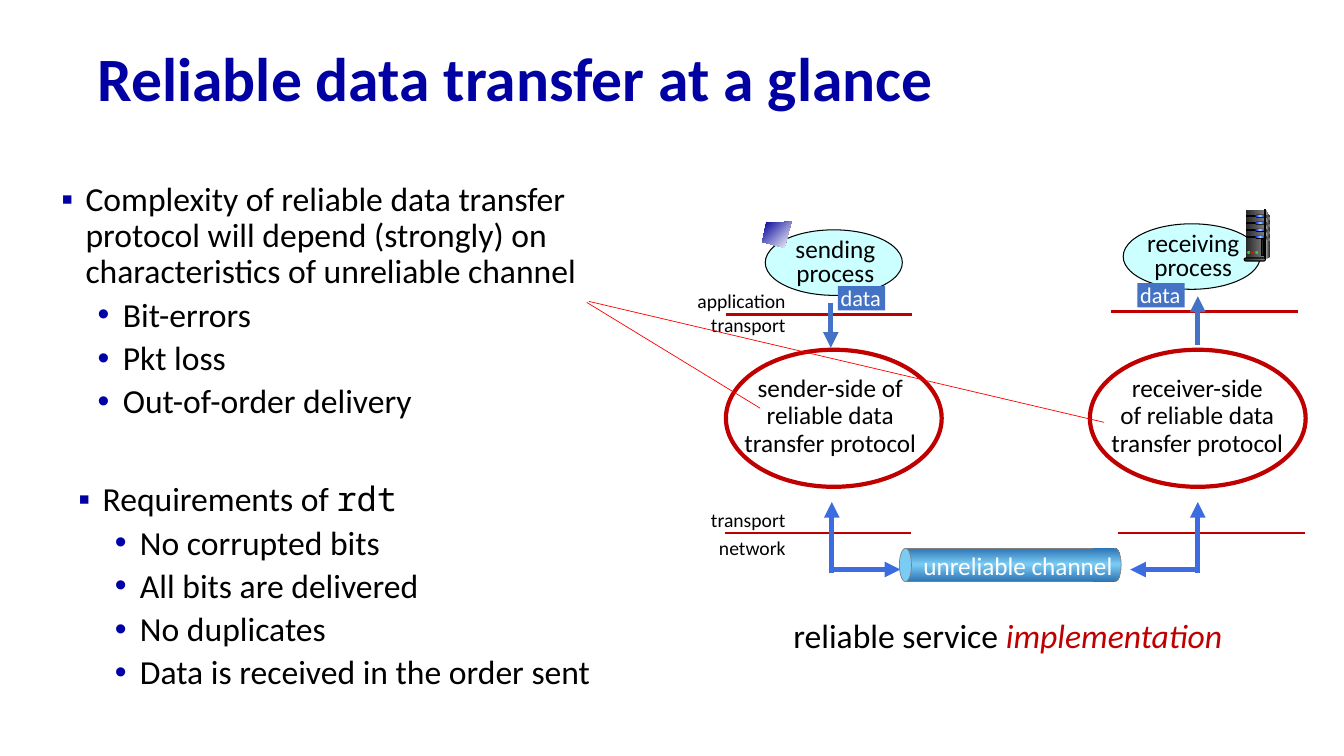
from dataclasses import dataclass

from lxml.etree import SubElement
from pptx import Presentation
from pptx.dml.color import RGBColor
from pptx.enum.shapes import MSO_CONNECTOR, MSO_SHAPE
from pptx.enum.text import MSO_ANCHOR, PP_ALIGN
from pptx.oxml.ns import qn
from pptx.util import Inches, Pt


@dataclass(frozen=True)
class Theme:
    font: str = "Calibri"
    mono: str = "Noto Sans Mono"
    title_size: int = 44
    body_size: int = 24
    node_size: int = 18
    tag_size: int = 16
    label_size: int = 14
    navy: str = "0000A3"
    dot: str = "0000A8"
    black: str = "000000"
    white: str = "FFFFFF"
    crimson: str = "C00000"
    pointer: str = "FF0000"
    aqua: str = "CCFFFF"
    blue: str = "4472C4"
    elbow: str = "3C6CDF"
    grey: str = "808080"
    dark: str = "292929"
    pipe_end: str = "7ACCF4"
    led: str = "33CC33"
    pipe: tuple = ((0, "2E75B6"), (52, "7ACCF4"), (100, "2E75B6"))
    screen: tuple = ((0, "000099"), (100, "FFFFFF"))
    cabinet: tuple = ((0, "292929"), (100, "808080"))
    cabinet_side: tuple = ((0, "DDDDDD"), (100, "333333"))
    drive: tuple = ((0, "0000FF"), (50, "99CCFF"), (100, "0000FF"))


THEME = Theme()


@dataclass(frozen=True)
class Side:
    process: str
    process_at: tuple
    tag_at: tuple
    protocol: tuple
    protocol_dx: float
    upper_line: tuple
    lower_line: tuple
    arrow: tuple
    elbow_x: float
    elbow_tip: float


SENDER = Side("sending process", (0.39, 0.2), (1.11, 0.76),
              ("sender-side of", "reliable data transfer protocol"), 0,
              (0, 1.04), (-0.01, 3.21), (1.04, 0.93, 1.37), 1.05, 1.73)
RECEIVER = Side("receiving process", (0.33, 0.14), (0.47, 0.73),
                ("receiver-side", "of reliable data transfer protocol"), 0.03,
                (0.21, 1.01), (0.28, 3.21), (1.07, 1.34, 0.86), 1.07, 0.4)


def rgb(value):
    return RGBColor.from_string(value)


def paint(shape, fill=None, line=None, width=0.75, angle=0):
    shape.shadow.inherit = False
    if fill is None:
        shape.fill.background()
    elif isinstance(fill, str):
        shape.fill.solid()
        shape.fill.fore_color.rgb = rgb(fill)
    else:
        shape.fill.gradient()
        gradient = shape._element.spPr.find(qn("a:gradFill"))
        stops = gradient.find(qn("a:gsLst"))
        for stop in list(stops):
            stops.remove(stop)
        for position, value in fill:
            stop = SubElement(stops, qn("a:gs"), pos=str(position * 1000))
            SubElement(stop, qn("a:srgbClr"), val=value)
        gradient.find(qn("a:lin")).set("ang", str(angle * 60000))
    if line:
        shape.line.color.rgb = rgb(line)
        shape.line.width = Pt(width)
    else:
        shape.line.fill.background()
    return shape


def add_preset(slide, kind, left, top, width, height, *style, **options):
    shape = slide.shapes.add_shape(kind, Inches(left), Inches(top), Inches(width), Inches(height))
    return paint(shape, *style, **options)


def add_outline(slide, left, top, points, fill, angle=0):
    corners = [(Inches(left + x), Inches(top + y)) for x, y in points]
    builder = slide.shapes.build_freeform(*corners[0])
    builder.add_line_segments(corners[1:], close=True)
    return paint(builder.convert_to_shape(), fill, angle=angle)


def add_line(slide, x1, y1, x2, y2, color, width, arrow=False):
    line = slide.shapes.add_connector(
        MSO_CONNECTOR.STRAIGHT, Inches(x1), Inches(y1), Inches(x2), Inches(y2))
    line.line.color.rgb = rgb(color)
    line.line.width = Pt(width)
    if arrow:
        SubElement(line.line._get_or_add_ln(), qn("a:tailEnd"), type="triangle")
    SubElement(line._element.spPr, qn("a:effectLst"))


def set_font(font, size, color, name=THEME.font):
    font.name, font.size, font.color.rgb = name, Pt(size), rgb(color)


def add_text(slide, left, top, width, height, lines, size, color=THEME.black,
             align=PP_ALIGN.LEFT, spacing=1.0, wrap=True):
    box = slide.shapes.add_textbox(Inches(left), Inches(top), Inches(width), Inches(height))
    frame = box.text_frame
    frame.word_wrap = wrap
    for index, line in enumerate(lines):
        paragraph = frame.paragraphs[0] if index == 0 else frame.add_paragraph()
        paragraph.add_run().text = line
        paragraph.alignment, paragraph.line_spacing = align, spacing
        set_font(paragraph.font, size, color)
    return frame


def add_title(slide, left, top, width, height):
    frame = add_text(slide, left, top, width, height, ["Reliable data transfer at a glance"],
                     THEME.title_size, THEME.navy, spacing=0.9)
    frame.vertical_anchor = MSO_ANCHOR.MIDDLE
    frame.paragraphs[0].font.bold = True


def add_bullets(slide, left, top, width, height, heading, items):
    frame = add_text(slide, left, top, width, height, [heading, *items],
                     THEME.body_size, spacing=0.9)
    for index, paragraph in enumerate(frame.paragraphs):
        level = min(index, 1)
        indent, hang, mark, color = ((0.39, 0.24, "▪", THEME.navy),
                                     (0.76, 0.25, "•", THEME.dot))[level]
        properties = paragraph._p.get_or_add_pPr()
        properties.remove(properties.find(qn("a:defRPr")))
        properties.set("marL", str(Inches(indent)))
        properties.set("indent", str(-Inches(hang)))
        paragraph.level = level
        if level:
            paragraph.space_before = Pt(5)
        bullet_color = SubElement(properties, qn("a:buClr"))
        SubElement(bullet_color, qn("a:srgbClr"), val=color)
        SubElement(properties, qn("a:buFont"), typeface="Arial")
        SubElement(properties, qn("a:buChar"), char=mark)
        set_font(paragraph.font, THEME.body_size, THEME.black)
    return frame


def add_side(slide, left, top, side):
    x, y = left + side.process_at[0], top + side.process_at[1]
    add_preset(slide, MSO_SHAPE.OVAL, x, y, 1.36, 0.65, THEME.aqua, THEME.black)
    add_text(slide, x + 0.09, y + 0.04, 1.21, 0.59, [side.process], THEME.node_size,
             align=PP_ALIGN.CENTER, spacing=0.8)
    x, y = left + side.tag_at[0], top + side.tag_at[1]
    add_preset(slide, MSO_SHAPE.RECTANGLE, x, y, 0.47, 0.24, THEME.blue)
    add_text(slide, x - 0.07, y - 0.07, 0.63, 0.37, ["data"], THEME.tag_size, THEME.white)
    for dx, dy in (side.upper_line, side.lower_line):
        add_line(slide, left + dx, top + dy, left + dx + 1.85, top + dy, THEME.crimson, 1.75)
    x, start, end = side.arrow
    add_line(slide, left + x, top + start, left + x, top + end, THEME.blue, 3.75, True)
    x, y = left + side.elbow_x, top + 3.57
    add_line(slide, x, y + 0.03, x, top + 2.9, THEME.elbow, 3.75, True)
    add_line(slide, x, y, left + side.elbow_tip, y, THEME.elbow, 3.75, True)
    add_text(slide, left + side.protocol_dx, top + 1.6, 2.07, 0.92, side.protocol,
             THEME.node_size, align=PP_ALIGN.CENTER, spacing=0.9)
    add_preset(slide, MSO_SHAPE.OVAL, left, top + 1.39, 2.14, 1.36, None, THEME.crimson, 3)


def add_server(slide, left, top):
    add_outline(slide, left, top, [(0.21, 0), (0.25, 0.06), (0.25, 0.47), (0.2, 0.49)],
                THEME.cabinet_side)
    add_preset(slide, MSO_SHAPE.RECTANGLE, left + 0.02, top, 0.19, 0.49, THEME.cabinet)
    for slot in range(4):
        y = top + 0.05 + 0.07 * slot
        add_preset(slide, MSO_SHAPE.RECTANGLE, left + 0.02, y + 0.01, 0.11, 0.01,
                   THEME.black, THEME.black)
        for height, fill in ((0.03, THEME.black), (0.02, THEME.drive)):
            drive = add_preset(slide, MSO_SHAPE.ROUNDED_RECTANGLE, left + 0.11, y, 0.1, height, fill)
            drive.adjustments[0] = 0.5
        add_outline(slide, left + 0.21, y, [(0, 0), (0.04, 0.03), (0.04, 0.05), (0, 0.02)],
                    THEME.cabinet)
    add_preset(slide, MSO_SHAPE.RECTANGLE, left + 0.2, top, 0.01, 0.49, THEME.dark, THEME.black)
    base = add_preset(slide, MSO_SHAPE.ROUNDED_RECTANGLE, left, top + 0.48, 0.21, 0.03,
                      THEME.cabinet, THEME.black)
    base.adjustments[0] = 0.5
    for index, color in enumerate((THEME.led, THEME.pointer, THEME.led)):
        add_preset(slide, MSO_SHAPE.OVAL, left + 0.03 + 0.04 * index, top + 0.41, 0.03, 0.03, color)
    add_preset(slide, MSO_SHAPE.RECTANGLE, left + 0.17, top + 0.3, 0.02, 0.16,
               THEME.dark, THEME.black)


def add_channel(slide, left, top):
    for kind, dx, width, fill, line in (
            (MSO_SHAPE.RECTANGLE, 0.06, 2.07, THEME.pipe, THEME.grey),
            (MSO_SHAPE.OVAL, 0, 0.12, THEME.pipe_end, THEME.grey),
            (MSO_SHAPE.OVAL, 2.08, 0.12, THEME.pipe, THEME.grey),
            (MSO_SHAPE.RECTANGLE, 1.92, 0.21, THEME.pipe, None)):
        add_preset(slide, kind, left + dx, top, width, 0.33, fill, line, 0.5, angle=270)
    add_text(slide, left + 0.14, top - 0.03, 2.1, 0.4, ["unreliable channel"],
             THEME.node_size, THEME.white, wrap=False)


def add_diagram(slide, left, top):
    add_side(slide, left, top, SENDER)
    add_side(slide, left + 3.61, top, RECEIVER)
    add_outline(slide, left + 0.36, top + 0.12,
                [(0.29, 0), (0.04, 0.01), (0, 0.2), (0.22, 0.26)], THEME.screen, 45)
    add_server(slide, left + 5.14, top)
    for layer, dy in (("application", 0.74), ("transport", 0.98),
                      ("transport", 2.91), ("network", 3.19)):
        add_text(slide, left - 0.51, top + dy, 1.2, 0.34, [layer], THEME.label_size,
                 align=PP_ALIGN.RIGHT)
    add_channel(slide, left + 1.72, top + 3.36)
    caption = add_text(slide, left + 0.57, top + 3.97, 5.09, 0.5, ["reliable service "],
                       THEME.body_size).paragraphs[0]
    emphasis = caption.add_run()
    emphasis.text = "implementation"
    emphasis.font.italic, emphasis.font.color.rgb = True, rgb(THEME.crimson)


def main():
    deck = Presentation()
    deck.slide_width, deck.slide_height = Inches(13.33), Inches(7.5)
    slide = deck.slides.add_slide(deck.slide_layouts[6])
    add_title(slide, 0.87, 0.32, 12.14, 0.98)
    add_diagram(slide, 7.2, 2.08)
    add_bullets(slide, 0.36, 1.76, 5.59, 3,
                "Complexity of reliable data transfer protocol will depend (strongly) on "
                "characteristics of unreliable channel",
                ["Bit-errors", "Pkt loss", "Out-of-order delivery"])
    add_line(slide, 7.54, 4.05, 5.82, 3, THEME.pointer, 0.5)
    add_line(slide, 10.95, 4.19, 5.84, 2.99, THEME.pointer, 0.5)
    requirements = add_bullets(slide, 0.53, 4.74, 5.69, 2.53, "Requirements of ",
                               ["No corrupted bits", "All bits are delivered", "No duplicates",
                                "Data is received in the order sent"])
    protocol_name = requirements.paragraphs[0].add_run()
    protocol_name.text = "rdt"
    protocol_name.font.name = THEME.mono
    deck.save("out.pptx")


if __name__ == "__main__":
    main()
